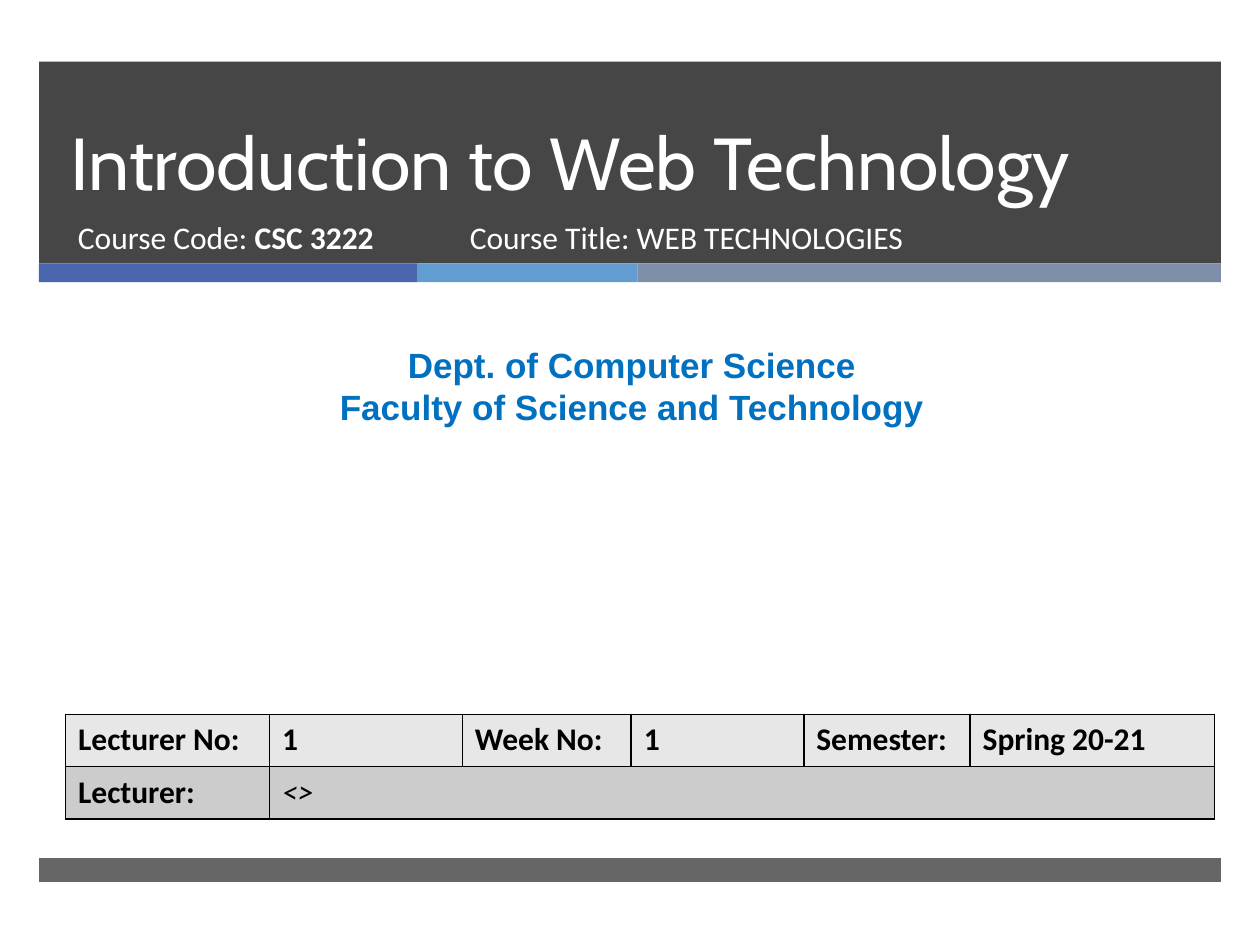
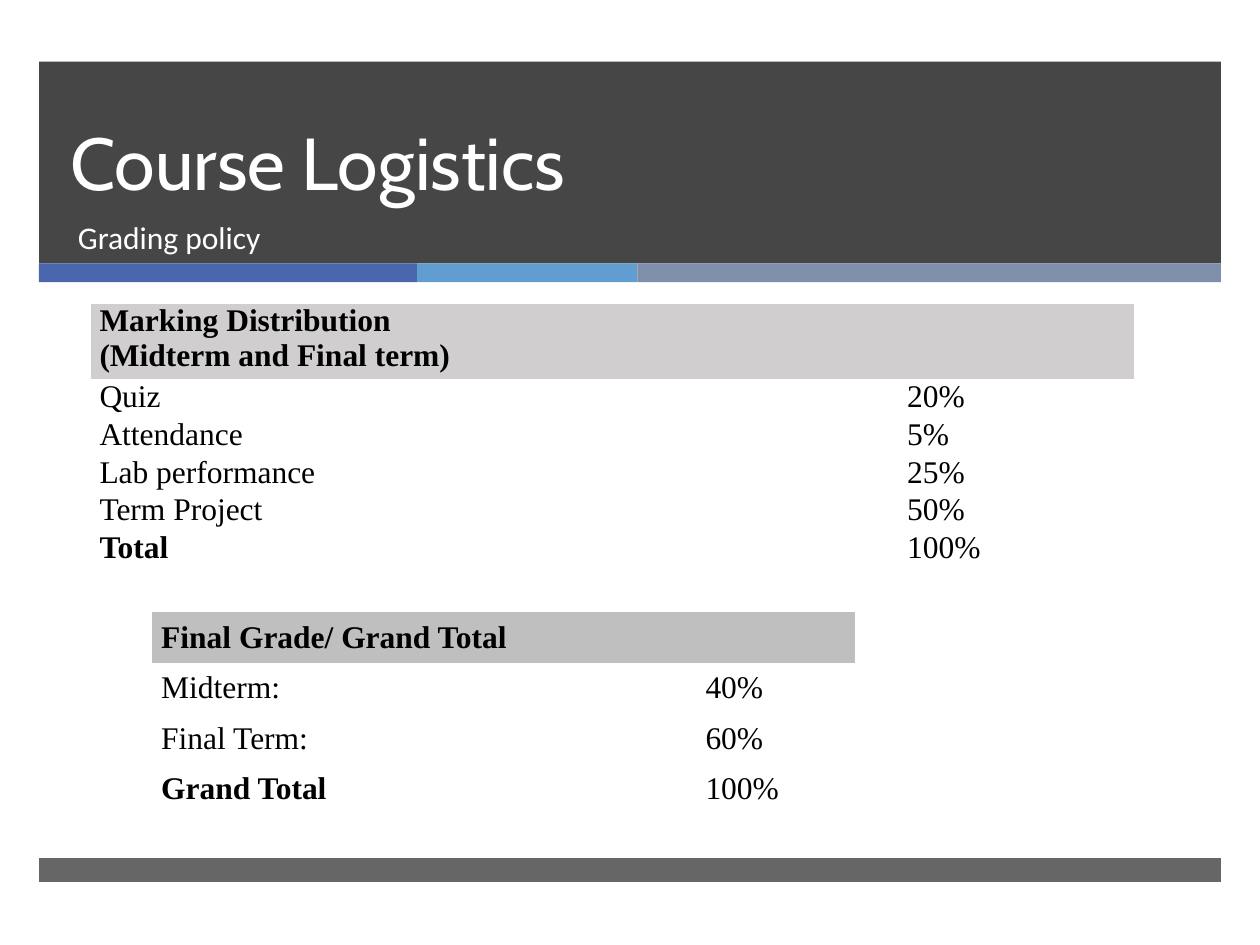
from lxml import etree
from pptx import Presentation
from pptx.dml.color import RGBColor
from pptx.enum.shapes import MSO_SHAPE
from pptx.enum.text import MSO_ANCHOR, MSO_AUTO_SIZE, PP_ALIGN
from pptx.oxml.ns import qn
from pptx.util import Inches, Pt

RECTANGLE = MSO_SHAPE.RECTANGLE
TOP, MIDDLE, BOTTOM = MSO_ANCHOR.TOP, MSO_ANCHOR.MIDDLE, MSO_ANCHOR.BOTTOM
LEFT, CENTER, JUSTIFY = PP_ALIGN.LEFT, PP_ALIGN.CENTER, PP_ALIGN.JUSTIFY
NO_AUTOFIT = MSO_AUTO_SIZE.NONE
TITLE_ONLY = 5
PLAIN_TABLE_STYLE = "{2D5ABB26-0587-4C30-8999-92F81FD0307C}"

COLORS = {
    "dark": "262626", "indigo": "4A66AC", "sky": "629DD1", "slate": "7F8FA9",
    "white": "FFFFFF", "black": "000000", "blue": "0070C0",
    "light row": "E7E7E7", "dark row": "CCCCCC",
    "marking header": "D0CECE", "final header": "BFBFBF",
}

# Content: a span is (text, style), where style holds "b" for bold, "i" for italic
COVER_TITLE = "Introduction to Web Technology"
COURSE_CODE = [[("Course Code: ", ""), ("CSC 3222", "b")]]
COURSE_TITLE = [[("Course Title: WEB TECHNOLOGIES", "")]]
DEPARTMENT = [[("Dept. of Computer Science", "b")],
              [("Faculty of Science and Technology", "b")]]
LECTURE_ROWS = [
    [("Lecturer No:", "b"), ("1", "b"), ("Week No:", "b"), ("1", "b"),
     ("Semester:", "b"), ("Spring 20-21", "b")],
    [("Lecturer:", "b"), ("<>", "i")],
]

GRADING_TITLE = "Course Logistics"
GRADING_SUBTITLE = [[("Grading policy", "")]]
MARKING_ROWS = [
    [("Marking Distribution\n(Midterm and Final term)", "b")],
    [("Quiz", ""), ("20%", "")],
    [("Attendance", ""), ("5%", "")],
    [("Lab performance", ""), ("25%", "")],
    [("Term Project", ""), ("50%", "")],
    [("Total", "b"), ("100%", "")],
]
FINAL_ROWS = [
    [("Final Grade/ Grand Total", "b")],
    [("Midterm:", ""), ("40%", "")],
    [("Final Term:", ""), ("60%", "")],
    [("Grand Total", "b"), ("100%", "")],
]

# Layout, in inches
SLIDE_WIDTH, SLIDE_HEIGHT = 10, 7.5
MARGIN, BAND_WIDTH = 0.31, 9.38
HEADER_TOP, STRIPE_TOP, STRIPE_HEIGHT = 0.49, 2.09, 0.15
STRIPES = [("indigo", 3), ("sky", 1.75), ("slate", 4.63)]
FOOTER_TOP, FOOTER_HEIGHT = 6.81, 0.19
TITLE_AT = (0.46, HEADER_TOP, 8.54, 1.19)
SUBTITLE_LEFT, SUBTITLE_TOP, SUBTITLE_HEIGHT = 0.52, 1.68, 0.53


def color(name):
    return RGBColor.from_string(COLORS[name])


def place(shape, left, top, width, height):
    shape.left, shape.top = Inches(left), Inches(top)
    shape.width, shape.height = Inches(width), Inches(height)


def write(frame, paragraphs, font, size, ink, align=LEFT):
    for index, spans in enumerate(paragraphs):
        para = frame.add_paragraph() if index else frame.paragraphs[0]
        para.alignment = align
        for text, style in spans:
            span = para.add_run()
            span.text = text
            span.font.name, span.font.size = font, Pt(size)
            span.font.bold, span.font.italic = "b" in style, "i" in style
            span.font.color.rgb = color(ink)


def add_band(slide, at, fill, opacity=100):
    band = slide.shapes.add_shape(RECTANGLE, *map(Inches, at))
    band.shadow.inherit = False
    band.fill.solid()
    band.fill.fore_color.rgb = color(fill)
    band.line.fill.background()
    if opacity < 100:
        tint = band.fill._xPr.find(qn("a:solidFill"))[0]
        etree.SubElement(tint, qn("a:alpha"), val=str(opacity * 1000))
    return band


def move_bands_to_layout(slide):
    """Draw the shared bands once and let the layout carry them."""
    bands = [
        add_band(slide, (MARGIN, HEADER_TOP, BAND_WIDTH, STRIPE_TOP - HEADER_TOP), "dark", 85),
        add_band(slide, (MARGIN, FOOTER_TOP, BAND_WIDTH, FOOTER_HEIGHT), "dark", 70),
    ]
    left = MARGIN
    for fill, width in STRIPES:
        bands.append(add_band(slide, (left, STRIPE_TOP, width, STRIPE_HEIGHT), fill))
        left += width
    for band in bands:
        slide.slide_layout.shapes._spTree.append(band._element)


def add_text(slide, at, paragraphs, font="Calibri", size=18, ink="white", align=LEFT):
    box = slide.shapes.add_textbox(*map(Inches, at))
    box.text_frame.word_wrap = True
    write(box.text_frame, paragraphs, font, size, ink, align)


def add_titled_slide(deck, title):
    slide = deck.slides.add_slide(deck.slide_layouts[TITLE_ONLY])
    place(slide.shapes.title, *TITLE_AT)
    frame = slide.shapes.title.text_frame
    frame.word_wrap, frame.auto_size = True, NO_AUTOFIT
    frame.vertical_anchor = BOTTOM
    write(frame, [[(title, "")]], "Cabin", 42, "white")
    frame.paragraphs[0].line_spacing = Pt(46)
    return slide


def add_subtitle(slide, paragraphs, width, left=SUBTITLE_LEFT):
    add_text(slide, (left, SUBTITLE_TOP, width, SUBTITLE_HEIGHT), paragraphs)


def outline(cell):
    properties = cell._tc.get_or_add_tcPr()
    for index, side in enumerate(("a:lnL", "a:lnR", "a:lnT", "a:lnB")):
        line = etree.Element(qn(side), w=str(Pt(1)))
        fill = etree.SubElement(line, qn("a:solidFill"))
        etree.SubElement(fill, qn("a:srgbClr"), val=COLORS["black"])
        properties.insert(index, line)


def add_grid(slide, corner, widths, heights, rows, fills, font,
             align=LEFT, anchor=TOP, tight=False, bordered=False):
    """Add a table; the last cell of a short row spans the remaining columns."""
    size = (sum(widths), sum(heights))
    frame = slide.shapes.add_table(len(rows), len(widths), *map(Inches, corner + size))
    table = frame.table
    table._tbl.tblPr.find(qn("a:tableStyleId")).text = PLAIN_TABLE_STYLE
    for column, width in zip(table.columns, widths):
        column.width = Inches(width)
    for r, (content, height, fill) in enumerate(zip(rows, heights, fills)):
        table.rows[r].height = Inches(height)
        if len(content) < len(widths):
            table.cell(r, len(content) - 1).merge(table.cell(r, len(widths) - 1))
        for c in range(len(widths)):
            cell = table.cell(r, c)
            cell.vertical_anchor = anchor
            if tight:
                cell.margin_left = cell.margin_right = Inches(0.07)
                cell.margin_top = cell.margin_bottom = 0
            if fill:
                cell.fill.solid()
                cell.fill.fore_color.rgb = color(fill)
            else:
                cell.fill.background()
            if bordered:
                outline(cell)
            if c < len(content):
                text, style = content[c]
                lines = [[(line, style)] for line in text.split("\n")]
                write(cell.text_frame, lines, font, 18, "black", align)


def add_grades(slide, corner, widths, heights, rows, header_fill, anchor=TOP):
    fills = [header_fill] + [None] * (len(rows) - 1)
    add_grid(slide, corner, widths, heights, rows, fills, "Times New Roman",
             JUSTIFY, anchor, tight=True)


def build_cover(deck):
    slide = add_titled_slide(deck, COVER_TITLE)
    move_bands_to_layout(slide)
    add_subtitle(slide, COURSE_CODE, 3.05)
    add_subtitle(slide, COURSE_TITLE, 4.55, left=3.63)
    add_text(slide, (0.08, 2.68, 9.87, 0.77), DEPARTMENT, "Arial", 20, "blue", CENTER)
    add_grid(slide, (0.52, 5.67), (1.62, 1.53, 1.34, 1.37, 1.32, 1.94), (0.415,) * 2,
             LECTURE_ROWS, ("light row", "dark row"), "Calibri", bordered=True)


def build_grading(deck):
    slide = add_titled_slide(deck, GRADING_TITLE)
    add_subtitle(slide, GRADING_SUBTITLE, 8.48)
    add_grades(slide, (0.72, 2.41), (6.41, 1.87), (0.52,) + (0.26,) * 5,
               MARKING_ROWS, "marking header")
    add_grades(slide, (1.21, 4.86), (4.32, 1.26), (0.4,) * 4,
               FINAL_ROWS, "final header", MIDDLE)


def main():
    deck = Presentation()
    deck.slide_width, deck.slide_height = Inches(SLIDE_WIDTH), Inches(SLIDE_HEIGHT)
    build_cover(deck)
    build_grading(deck)
    deck.save("out.pptx")


if __name__ == "__main__":
    main()
